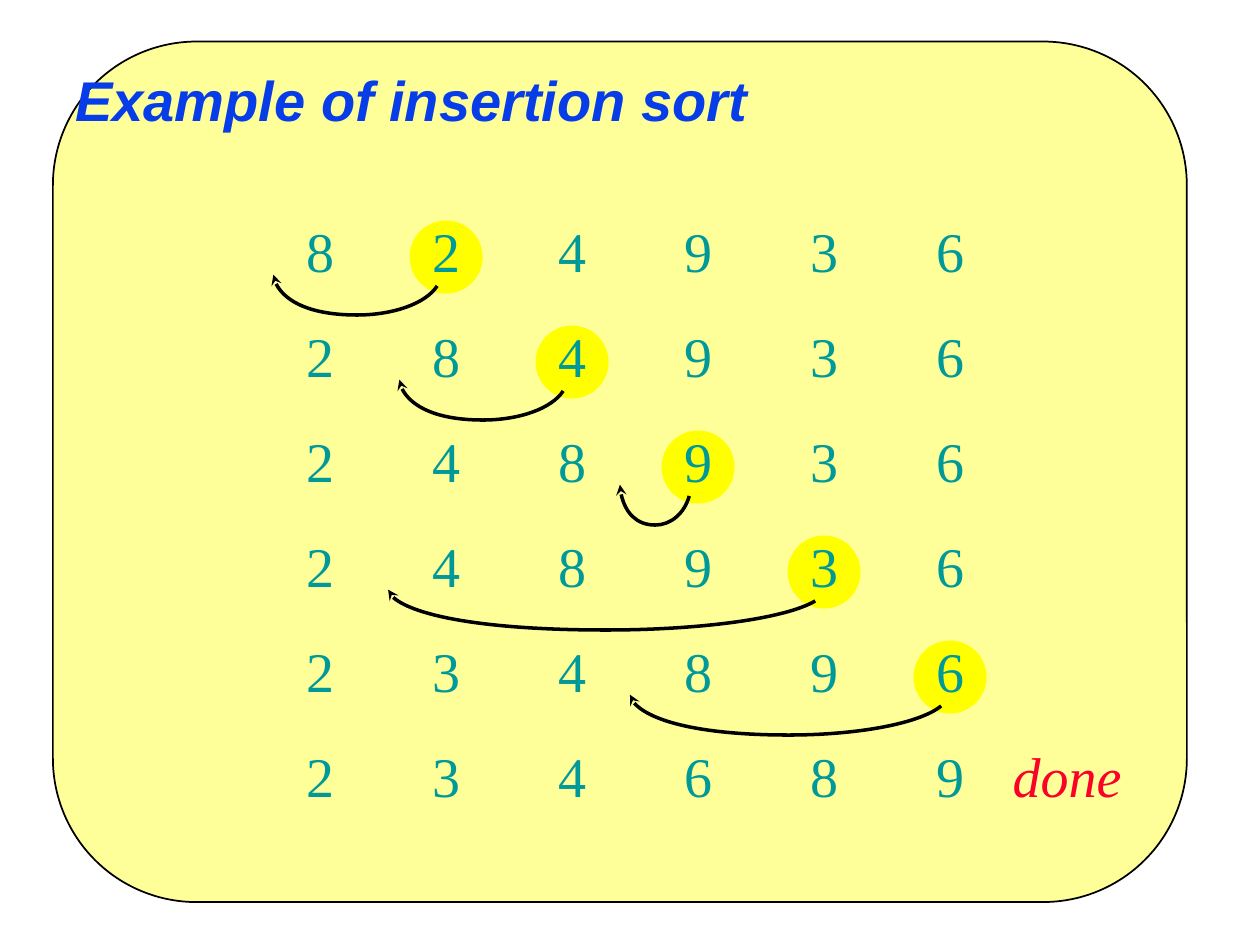
from dataclasses import dataclass

from lxml import etree
from pptx import Presentation
from pptx.dml.color import RGBColor
from pptx.enum import shapes, text
from pptx.oxml.ns import qn
from pptx.util import Inches, Pt


@dataclass(frozen=True)
class Theme:
    panel: str = "FFFF99"
    marker: str = "FFFF00"
    line: str = "000000"
    title: str = "063DE8"
    digit: str = "009999"
    done: str = "FC0128"
    heading_font: str = "Arial"
    body_font: str = "Times New Roman"
    size: int = 32


THEME = Theme()
COLUMN_PITCH = 1
ROW_PITCH = 5 / 6
CELL_W, CELL_H = 0.42, 0.64
MARKER = 0.58

STEPS = [
    ("824936", 1, 2.17),
    ("284936", 2, 3.17),
    ("248936", 3, 4.92),
    ("248936", 4, 3.08),
    ("234896", 5, 5),
    ("234689", None, None),
]

ARC = [(1, 0.28), (0.93, 0.72), (0.73, 1), (0.51, 1),
       (0.23, 1), (0.01, 0.56), (0, 0)]


def add_shape(slide, kind, x, y, w, h, fill):
    sp = slide.shapes.add_shape(kind, Inches(x), Inches(y), Inches(w), Inches(h))
    sp.shadow.inherit = False
    sp.fill.solid()
    sp.fill.fore_color.rgb = RGBColor.from_string(fill)
    sp.line.fill.background()
    return sp


def add_text(slide, words, x, y, w, h, font, color, bold=False, italic=False):
    sp = slide.shapes.add_textbox(Inches(x), Inches(y), Inches(w), Inches(h))
    tf = sp.text_frame
    r = tf.paragraphs[0].add_run()
    r.text = words
    r.font.name = font
    r.font.size = Pt(THEME.size)
    r.font.bold = bold
    r.font.italic = italic
    r.font.color.rgb = RGBColor.from_string(color)
    return tf


def add_label(slide, words, x, y, w, color, italic=False):
    tf = add_text(slide, words, x, y, w, CELL_H, THEME.body_font, color, italic=italic)
    tf.word_wrap = False
    tf.auto_size = text.MSO_AUTO_SIZE.SHAPE_TO_FIT_TEXT
    tf.paragraphs[0].alignment = text.PP_ALIGN.CENTER


def add_arc_arrow(slide, x, y, w, h):
    points = [(Inches(x + fx * w), Inches(y + fy * h)) for fx, fy in ARC]
    builder = slide.shapes.build_freeform(*points[0])
    builder.add_line_segments(points[1:], close=False)
    sp = builder.convert_to_shape()
    sp.shadow.inherit = False
    sp.fill.background()
    sp.line.color.rgb = RGBColor.from_string(THEME.line)
    sp.line.width = Pt(2)
    outline = next(sp._element.iter(qn("a:path")))
    segments = outline.findall(qn("a:lnTo"))
    for start in range(0, len(segments), 3):
        curve = etree.SubElement(outline, qn("a:cubicBezTo"))
        for segment in segments[start:start + 3]:
            curve.append(segment[0])
            outline.remove(segment)
    ln = sp._element.spPr.find(qn("a:ln"))
    etree.SubElement(ln, qn("a:tailEnd"), type="stealth")


def add_panel(slide, x, y, w, h):
    sp = add_shape(slide, shapes.MSO_SHAPE.ROUNDED_RECTANGLE, x, y, w, h, THEME.panel)
    sp.adjustments[0] = 0.167
    sp.line.color.rgb = RGBColor.from_string(THEME.line)
    sp.line.width = Pt(1)


def add_title(slide, x, y, w, h):
    tf = add_text(slide, "Example of insertion sort", x, y, w, h,
                  THEME.heading_font, THEME.title, bold=True, italic=True)
    tf.word_wrap = True
    tf.vertical_anchor = text.MSO_ANCHOR.MIDDLE


def add_step(slide, x, y, digits, picked, target):
    if picked is not None:
        marker_x = x + picked * COLUMN_PITCH + (CELL_W - MARKER) / 2
        add_shape(slide, shapes.MSO_SHAPE.OVAL, marker_x, y + 0.08,
                  MARKER, MARKER, THEME.marker)
    for column, digit in enumerate(digits):
        add_label(slide, digit, x + column * COLUMN_PITCH, y, CELL_W, THEME.digit)
    if picked is not None:
        tail_x = x + picked * COLUMN_PITCH + 0.14
        add_arc_arrow(slide, target, y + 0.51, tail_x - target, 0.32)


def add_steps(slide, x, y):
    for row, step in enumerate(STEPS):
        add_step(slide, x, y + row * ROW_PITCH, *step)
    last_y = y + (len(STEPS) - 1) * ROW_PITCH
    add_label(slide, "done", x + 5.54, last_y, 1.2, THEME.done, italic=True)


def main():
    prs = Presentation()
    prs.slide_width, prs.slide_height = Inches(10), Inches(7.5)
    slide = prs.slides.add_slide(prs.slide_layouts[6])
    add_panel(slide, 0.42, 0.33, 9, 6.83)
    add_title(slide, 0.5, 0.25, 9, 1.08)
    add_steps(slide, 2.33, 1.67)
    prs.save("out.pptx")


if __name__ == "__main__":
    main()
